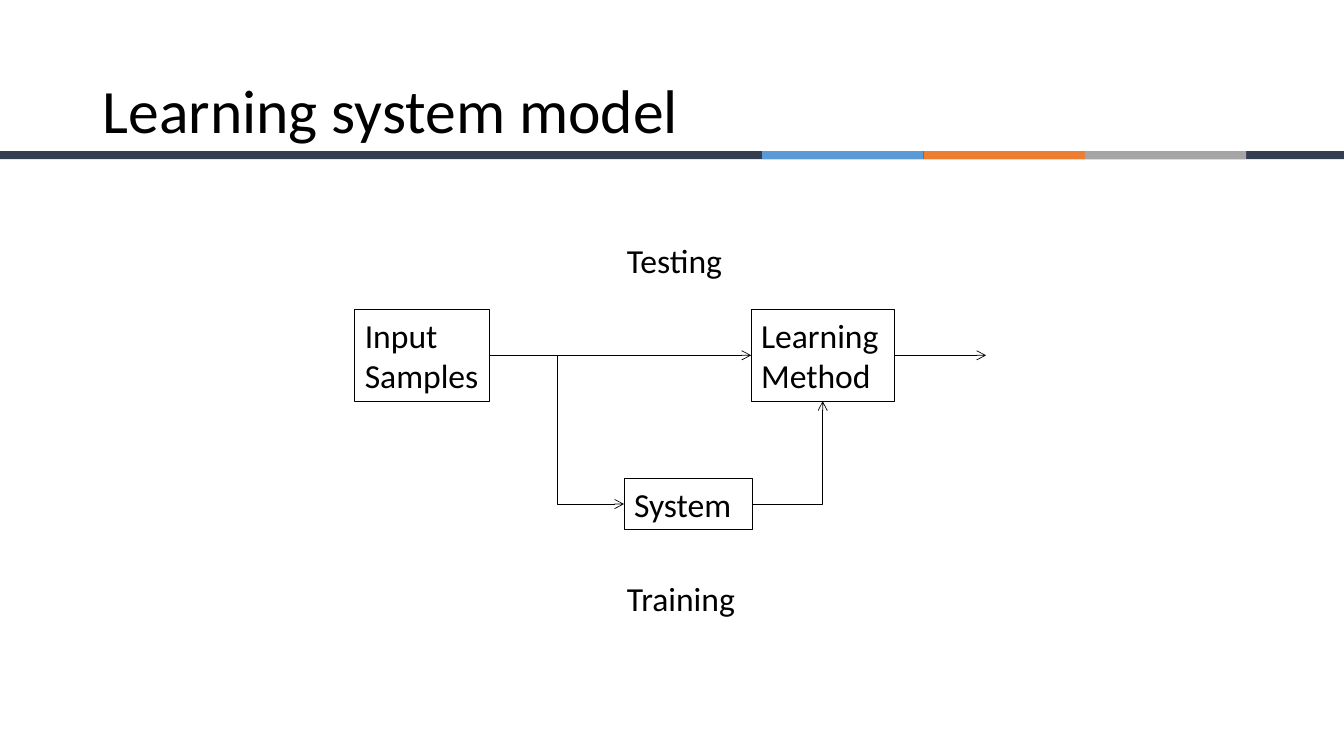
from dataclasses import dataclass

from lxml import etree
from pptx import Presentation
from pptx import util as u
from pptx.dml import color as dml
from pptx.enum import shapes, text
from pptx.oxml import ns
from pptx.shapes.autoshape import Shape
from pptx.shapes.connector import Connector
from pptx.shapes.shapetree import SlideShapes

COLORS = {
    "ink": "000000",
    "paper": "FFFFFF",
    "navy": "333F50",
    "blue": "5B9BD5",
    "orange": "ED7D31",
    "gray": "A5A5A5",
}
FONT = "Calibri"
TOP, LEFT, BOTTOM, RIGHT = range(4)
STRIPE_TOP, STRIPE_HEIGHT = 1.5, 0.08
ACCENT_LEFT, ACCENT_WIDTH = 7.56, 1.6


@dataclass(frozen=True)
class Block:
    label: str
    left: float
    top: float
    width: float
    height: float


INPUT = Block("Input Samples", 3.52, 3.07, 1.34, 0.91)
METHOD = Block("Learning Method", 7.45, 3.07, 1.42, 0.91)
SYSTEM = Block("System", 6.19, 4.75, 1.27, 0.5)
CAPTIONS = [
    Block("Training", 6.12, 5.68, 1.41, 0.5),
    Block("Testing", 6.12, 2.33, 1.41, 0.5),
]
TITLE = Block("Learning system model", 0.92, 0.4, 11.5, 1.45)


def rgb(name: str) -> dml.RGBColor:
    return dml.RGBColor.from_string(COLORS[name])


def place(block: Block) -> list[u.Length]:
    return [u.Inches(v) for v in (block.left, block.top, block.width, block.height)]


def write_text(box: Shape, words: str, *, size: float = 24, spacing: float = 1.0,
               anchor: text.MSO_ANCHOR = text.MSO_ANCHOR.TOP, grow: bool = True) -> None:
    frame = box.text_frame
    frame.word_wrap = True
    frame.vertical_anchor = anchor
    frame.auto_size = (text.MSO_AUTO_SIZE.SHAPE_TO_FIT_TEXT if grow
                       else text.MSO_AUTO_SIZE.NONE)
    para = frame.paragraphs[0]
    para.alignment = text.PP_ALIGN.LEFT
    para.line_spacing = spacing
    span = para.add_run()
    span.text = words
    span.font.name = FONT
    span.font.size = u.Pt(size)
    span.font.color.rgb = rgb("ink")


def add_rectangle(canvas: SlideShapes, block: Block, fill: str) -> Shape:
    box = canvas.add_shape(shapes.MSO_SHAPE.RECTANGLE, *place(block))
    box.shadow.inherit = False
    box.fill.solid()
    box.fill.fore_color.rgb = rgb(fill)
    box.line.fill.background()
    return box


def add_stage(canvas: SlideShapes, block: Block) -> Shape:
    box = add_rectangle(canvas, block, "paper")
    box.line.color.rgb = rgb("ink")
    box.line.width = u.Pt(0.75)
    write_text(box, block.label)
    return box


def add_label(canvas: SlideShapes, block: Block, **style) -> None:
    write_text(canvas.add_textbox(*place(block)), block.label, **style)


def add_arrow(canvas: SlideShapes, kind: shapes.MSO_CONNECTOR, start: tuple[float, float],
              end: tuple[float, float]) -> Connector:
    arrow = canvas.add_connector(kind, *(u.Inches(v) for v in (*start, *end)))
    arrow.line.color.rgb = rgb("ink")
    arrow.line.width = u.Pt(0.5)
    properties = arrow._element.spPr
    etree.SubElement(properties.find(ns.qn("a:ln")), ns.qn("a:tailEnd"), type="arrow")
    etree.SubElement(properties, ns.qn("a:effectLst"))
    return arrow


def add_flow(canvas: SlideShapes) -> None:
    source, method, system = [add_stage(canvas, block) for block in (INPUT, METHOD, SYSTEM)]
    elbow, straight = shapes.MSO_CONNECTOR.ELBOW, shapes.MSO_CONNECTOR.STRAIGHT
    upper = METHOD.top + METHOD.height / 2
    lower = SYSTEM.top + SYSTEM.height / 2
    method_right = METHOD.left + METHOD.width

    branch = add_arrow(canvas, elbow, (INPUT.left + INPUT.width, upper), (SYSTEM.left, lower))
    branch.begin_connect(source, RIGHT)
    branch.end_connect(system, LEFT)

    testing = add_arrow(canvas, straight, (5.41, upper), (METHOD.left, upper))
    testing.end_connect(method, LEFT)

    output = add_arrow(canvas, straight, (method_right, upper), (9.78, upper))
    output.begin_connect(method, RIGHT)

    training = add_arrow(canvas, elbow, (SYSTEM.left + SYSTEM.width, lower),
                         (METHOD.left + METHOD.width / 2, METHOD.top + METHOD.height))
    training._element.spPr.find(ns.qn("a:prstGeom")).set("prst", "bentConnector2")
    training.begin_connect(system, RIGHT)
    training.end_connect(method, BOTTOM)


def main() -> None:
    deck = Presentation()
    deck.slide_width, deck.slide_height = u.Inches(13.33), u.Inches(7.5)
    page = deck.slides.add_slide(deck.slide_layouts[6])
    canvas = page.shapes

    add_rectangle(canvas, Block("", 0, STRIPE_TOP, 13.33, STRIPE_HEIGHT), "navy")
    for index, accent in enumerate(("blue", "orange", "gray")):
        left = ACCENT_LEFT + index * ACCENT_WIDTH
        add_rectangle(canvas, Block("", left, STRIPE_TOP, ACCENT_WIDTH, STRIPE_HEIGHT), accent)

    add_label(canvas, TITLE, size=44, spacing=0.9, anchor=text.MSO_ANCHOR.MIDDLE, grow=False)
    add_flow(canvas)
    for caption in CAPTIONS:
        add_label(canvas, caption)

    deck.save("out.pptx")


if __name__ == "__main__":
    main()
